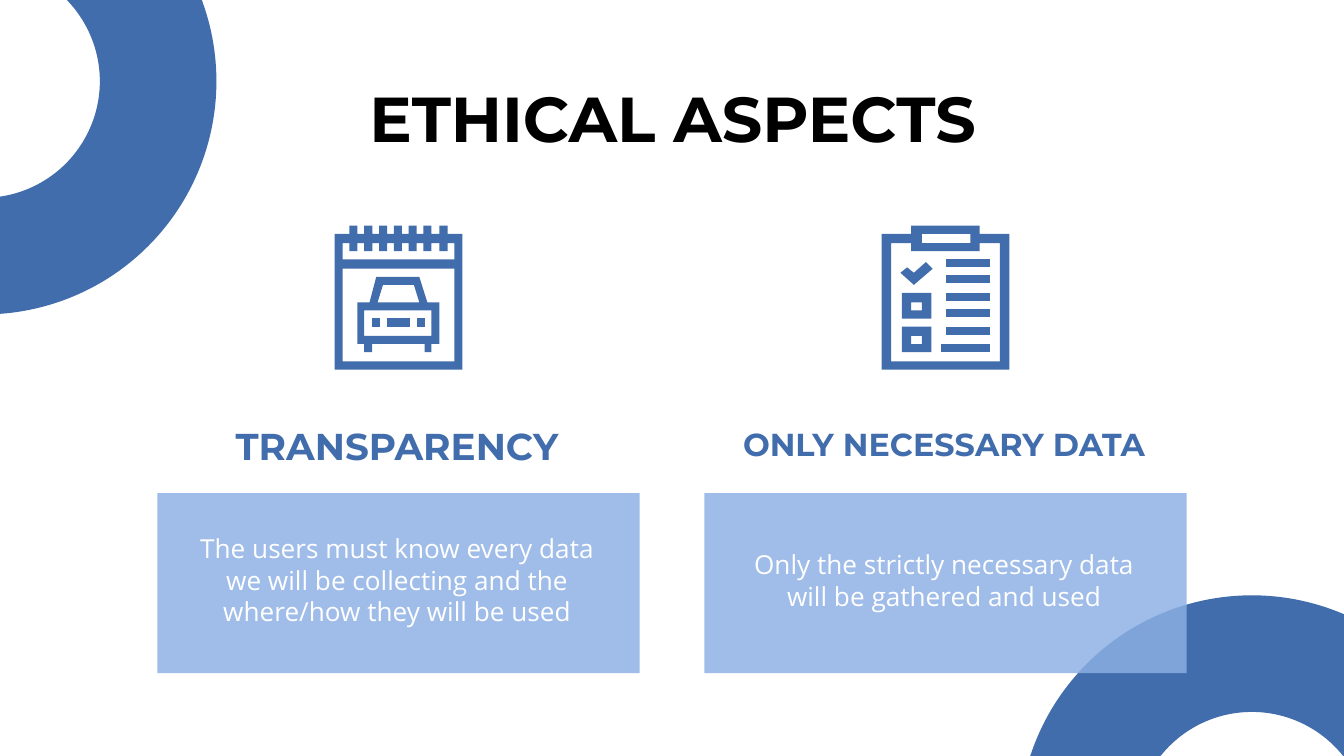
from lxml import etree
from pptx import Presentation
from pptx.dml.color import RGBColor
from pptx.enum.shapes import MSO_SHAPE
from pptx.enum.text import MSO_ANCHOR, PP_ALIGN
from pptx.oxml.ns import qn
from pptx.util import Inches, Pt

PX = Inches(1) // 100  # 100 px to the inch
RECT, ARC = MSO_SHAPE.RECTANGLE, MSO_SHAPE.BLOCK_ARC
TOP, MIDDLE = MSO_ANCHOR.TOP, MSO_ANCHOR.MIDDLE
CENTER = PP_ALIGN.CENTER
COLORS = {"blue": "416DAC", "light": "8CB0E4", "black": "000000", "white": "FFFFFF"}
HEAD_FONT, BODY_FONT = "Montserrat", "Open Sans"


def rgb(name):
    return RGBColor.from_string(COLORS[name])


def rect(x, y, w, h):
    return [(x, y), (x, y + h), (x + w, y + h), (x + w, y)]


def comb(left, right, base, tip, bottom):
    """Box outline whose top edge carries the seven binder rings of the calendar."""
    points = [(left, bottom), (left, base)]
    for i in range(7):
        x = 260 + i * 67 // 6
        points += [(x, base), (x, tip), (x + 6, tip), (x + 6, base)]
    return points + [(right, base), (right, bottom)]


class Deck:
    def __init__(self):
        self.prs = Presentation()
        self.prs.slide_width = Inches(10)
        self.prs.slide_height = Inches(10) * 9 // 16
        self.s = self.prs.slides.add_slide(self.prs.slide_layouts[4])

    def paint(self, sp, color):
        sp.shadow.inherit = False
        sp.fill.solid()
        sp.fill.fore_color.rgb = rgb(color)
        sp.line.fill.background()

    def shape(self, kind, box, color):
        sp = self.s.shapes.add_shape(kind, *(v * PX for v in box))
        self.paint(sp, color)
        return sp

    def ring(self, x, y, rotation):
        sp = self.shape(ARC, (x, y, 347, 347), "blue")
        for i, value in enumerate((108, 0, 0.25)):
            sp.adjustments[i] = value
        sp.rotation = rotation

    def panel(self, x, y, w, h, opacity):
        sp = self.shape(RECT, (x, y, w, h), "light")
        color = sp.fill._xPr.find(f".//{qn('a:srgbClr')}")
        etree.SubElement(color, qn("a:alpha"), val=str(opacity * 1000))

    def text(self, idx, box, text, size, font, color, bold=False, anchor=TOP):
        """Fill a placeholder and bring it in front of the shapes drawn so far."""
        sp = next(p for p in self.s.placeholders if p.placeholder_format.idx == idx)
        sp.left, sp.top, sp.width, sp.height = (v * PX for v in box)
        self.s.shapes._spTree.append(sp._element)
        tf = sp.text_frame
        tf.text = text
        tf.word_wrap = True
        tf.vertical_anchor = anchor
        tf.margin_left = tf.margin_right = tf.margin_top = tf.margin_bottom = 10 * PX
        p = tf.paragraphs[0]
        p.alignment = CENTER
        p.space_before = Pt(0)
        p.font.size, p.font.name, p.font.bold = Pt(size), font, bold
        p.font.color.rgb = rgb(color)
        pPr = p._p.get_or_add_pPr()
        pPr.set("marL", "0")
        pPr.set("indent", "0")
        pPr.insert_element_before(pPr.makeelement(qn("a:buNone")), "a:tabLst", "a:defRPr")

    def icon(self, parts):
        """Group of outlines; the inner contours of a part are holes."""
        group = self.s.shapes.add_group_shape()
        for contours in parts:
            builder = group.shapes.build_freeform(*contours[0][0], scale=PX)
            builder.add_line_segments(contours[0][1:], close=True)
            for contour in contours[1:]:
                builder.move_to(*contour[0])
                builder.add_line_segments(contour[1:], close=True)
            self.paint(builder.convert_to_shape(), "blue")


def calendar_parts():
    sheet = [comb(249, 344, 174, 168, 275), comb(255, 338, 181, 187, 193),
             rect(255, 200, 83, 69)]
    body = [(280, 206), (275, 225), (266, 225), (266, 256), (271, 256), (271, 262),
            (277, 262), (277, 256), (316, 256), (316, 262), (321, 262), (321, 256),
            (327, 256), (327, 225), (318, 225), (312, 206)]
    windscreen = [(308, 212), (312, 225), (281, 225), (285, 212)]
    lights = [[rect(x, 237, w, 6)] for x, w in ((277, 6), (288, 17), (310, 6))]
    return [sheet, [body, windscreen, rect(271, 231, 50, 19)], *lights]


def checklist_parts():
    board = [(678, 168), (678, 174), (656, 174), (656, 275), (751, 275), (751, 174),
             (729, 174), (729, 168)]
    page = [(744, 181), (744, 269), (663, 269), (663, 181), (678, 181), (678, 187),
            (729, 187), (729, 181)]
    tick = [(689, 195), (680, 203), (675, 199), (670, 203), (680, 212), (694, 200)]
    lines = [[rect(704, 193 + i * 25 // 2, 33, 6)] for i in range(5)]
    boxes = [[rect(671, y, 22, 19), rect(678, y + 7, 8, 6)] for y in (218, 243)]
    return [[board, rect(686, 174, 36, 7), page], *lines, [rect(700, 256, 37, 6)],
            *boxes, [tick]]


def main():
    deck = Deck()
    deck.ring(-186, -113, 90)
    deck.ring(758, 443, 0)
    columns = [
        (117, 305, 20, "TRANSPARENCY", calendar_parts(),
         "The users must know every data we will be collecting and the "
         "where/how they will be used"),
        (524, 306, 17, "ONLY NECESSARY DATA", checklist_parts(),
         "Only the strictly necessary data will be gathered and used"),
    ]
    deck.text(0, (79, 49, 843, 63), "ETHICAL ASPECTS", 34, HEAD_FONT, "black", True)
    for i, (x, head_y, size, head, parts, body) in enumerate(columns):
        deck.panel(x, 367, 359, 134, 83)
        deck.text(2 * i + 1, (x + 16, head_y, 325, 61), head, size, HEAD_FONT, "blue", True)
        deck.text(2 * i + 2, (x + 16, 375, 325, 113), body, 14, BODY_FONT, "white",
                  anchor=MIDDLE)
        deck.icon(parts)
    deck.prs.save("out.pptx")


if __name__ == "__main__":
    main()
